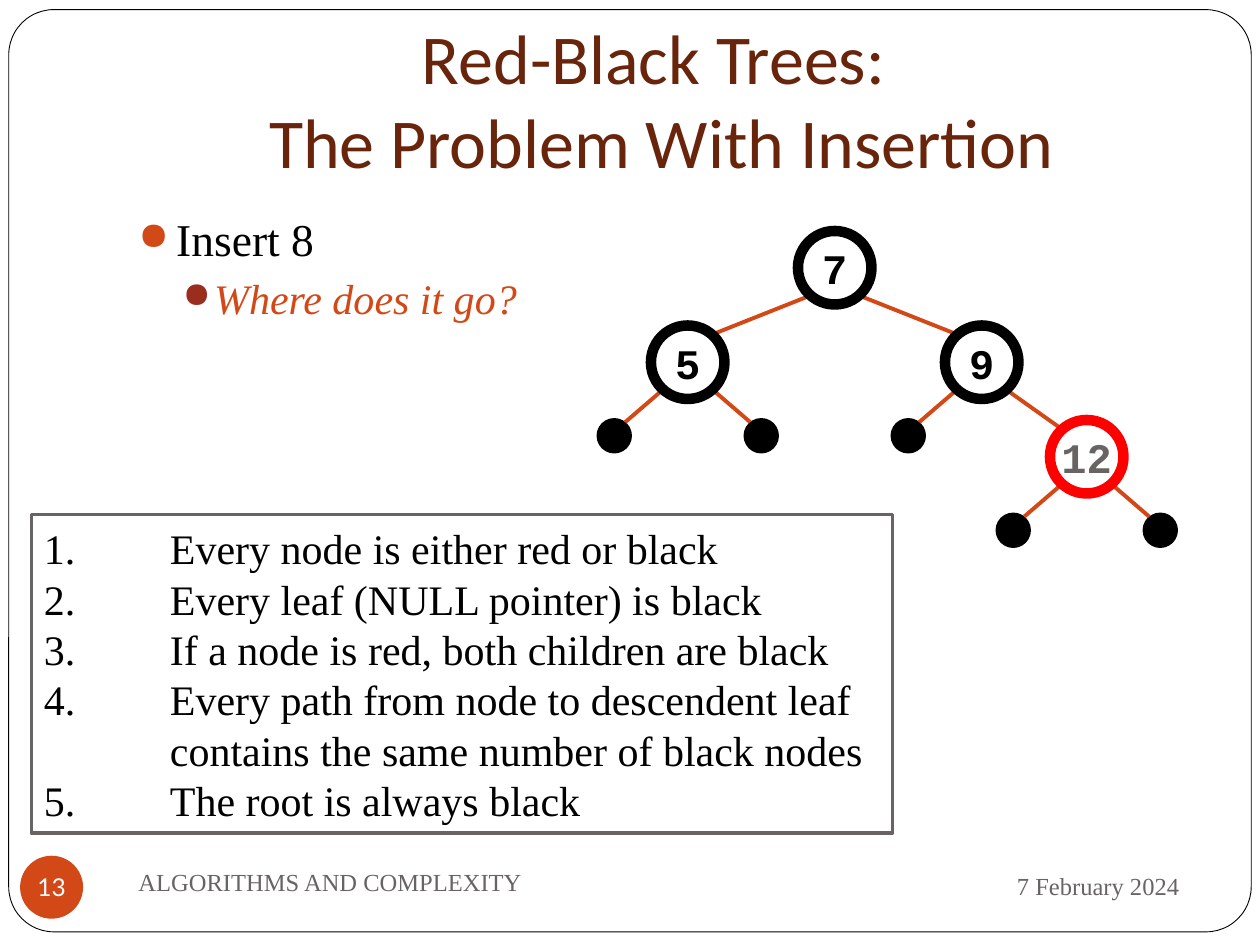
import dataclasses

import lxml.etree
import pptx
import pptx.dml.color
import pptx.enum.shapes
import pptx.enum.text
import pptx.oxml.ns
import pptx.util

Pt = pptx.util.Pt
RGB = pptx.dml.color.RGBColor.from_string
ALIGN = pptx.enum.text.PP_ALIGN
ANCHOR = pptx.enum.text.MSO_ANCHOR
SHAPE = pptx.enum.shapes.MSO_SHAPE
qn = pptx.oxml.ns.qn


@dataclasses.dataclass(frozen=True)
class Theme:
    black: str = "000000"
    white: str = "FFFFFF"
    red: str = "FF0000"
    gray: str = "696464"
    orange: str = "D34817"
    dark_red: str = "9B2D1F"
    brown: str = "69240C"
    serif: str = "Times New Roman"
    title_font: str = "Calibri"
    node_font: str = "Courier New"
    number_font: str = "Lato"
    title: int = 40
    body: int = 26
    detail: int = 24
    footer: int = 14


theme = Theme()


def add_text(tf, text, size, color, font=theme.serif, bold=False, italic=False,
             align=ALIGN.LEFT, anchor=ANCHOR.MIDDLE, wrap=True, indent=None,
             bullet=(), before=0, line_spacing=None):
    """Add a paragraph; indent is (left, first line), bullet is (tag, attributes) pairs."""
    tf.word_wrap = wrap
    tf.vertical_anchor = anchor
    p = tf.paragraphs[0] if not tf.paragraphs[0].runs else tf.add_paragraph()
    p.alignment = align
    p.space_before = Pt(before)
    if line_spacing:
        p.line_spacing = Pt(line_spacing)
    pPr = p._p.get_or_add_pPr()
    if indent:
        pPr.set("marL", str(Pt(indent[0])))
        pPr.set("indent", str(Pt(indent[1])))
    for tag, attributes in bullet:
        element = lxml.etree.SubElement(pPr, qn(tag), attributes)
        if tag == "a:buClr":
            element.attrib.clear()
            lxml.etree.SubElement(element, qn("a:srgbClr"), attributes)
    for i, line in enumerate(text.split("\n")):
        if i:
            p.add_line_break()
        r = p.add_run()
        r.text = line
        r.font.name, r.font.size = font, Pt(size)
        r.font.bold, r.font.italic = bold, italic
        r.font.color.rgb = RGB(color)


def add_shape(kind, x, y, w, h, fill=None, line=None, width=1):
    sp = s.shapes.add_shape(kind, Pt(x), Pt(y), Pt(w), Pt(h))
    sp.shadow.inherit = False
    if fill:
        sp.fill.solid()
        sp.fill.fore_color.rgb = RGB(fill)
    else:
        sp.fill.background()
    if line:
        sp.line.color.rgb = RGB(line)
        sp.line.width = Pt(width)
    else:
        sp.line.fill.background()
    return sp


prs = pptx.Presentation()
prs.slide_width, prs.slide_height = Pt(720), Pt(540)
s = prs.slides.add_slide(prs.slide_layouts[6])

frame = add_shape(SHAPE.ROUNDED_RECTANGLE, 5, 5.5, 710, 527, theme.white, theme.black, 0.5)
frame.adjustments[0] = 0.049

# Title
tf = s.shapes.add_textbox(Pt(72), Pt(21.6), Pt(612), Pt(90)).text_frame
tf.margin_bottom = Pt(7.2)
add_text(tf, "Red-Black Trees: \nThe Problem With Insertion", theme.title, theme.brown,
         font=theme.title_font, align=ALIGN.CENTER, anchor=ANCHOR.BOTTOM)

# Question
tf = s.shapes.add_textbox(Pt(72), Pt(117), Pt(250), Pt(75)).text_frame
for text, size, color, bullet_color, indent, before in [
    ("Insert 8", theme.body, theme.black, theme.orange, (21.6, -21.6), 0),
    ("Where does it go?", theme.detail, theme.orange, theme.dark_red, (43.2, -18), 3.8),
]:
    add_text(tf, text, size, color, italic=before > 0, anchor=ANCHOR.TOP,
             indent=indent, before=before,
             bullet=[("a:buClr", {"val": bullet_color}), ("a:buSzPct", {"val": "85000"}),
                     ("a:buChar", {"char": "●"})])

# Tree: centres of the nodes and leaves, edges as parent and child
nodes = {
    "7": (477, 153, theme.black, theme.black),
    "5": (393, 207, theme.black, theme.black),
    "9": (561, 207, theme.black, theme.black),
    "12": (621, 261, theme.red, theme.gray),
}
child_nodes = [("7", "5"), ("7", "9"), ("9", "12")]
leaf_sides = [("5", -1), ("5", 1), ("9", -1), ("12", -1), ("12", 1)]
node_size, leaf_size = 42, 18

leaves = [(parent, nodes[parent][0] + 42 * side, nodes[parent][1] + 42)
          for parent, side in leaf_sides]
for _, x, y in leaves:
    add_shape(SHAPE.OVAL, x - leaf_size / 2, y - leaf_size / 2, leaf_size, leaf_size,
              theme.black, theme.black, 2.25)

edges = [(parent, *nodes[child][:2], 14.8, 16.2) for parent, child in child_nodes]
edges += [(parent, x, y, 6.3, 7.8) for parent, x, y in leaves]
for parent, x, y, dx, dy in edges:
    px, py = nodes[parent][:2]
    side = 1 if x > px else -1
    edge = s.shapes.add_connector(
        pptx.enum.shapes.MSO_CONNECTOR.STRAIGHT,
        Pt(px + 14.8 * side), Pt(py + 16.2), Pt(x - dx * side), Pt(y - dy))
    edge.line.color.rgb = RGB(theme.orange)
    edge.line.width = Pt(2.25)
    lxml.etree.SubElement(edge._element.spPr, qn("a:effectLst"))

for key, (x, y, ring, color) in nodes.items():
    node = add_shape(SHAPE.OVAL, x - node_size / 2, y - node_size / 2,
                     node_size, node_size, theme.white, ring, 6)
    add_text(node.text_frame, key, theme.detail, color, font=theme.node_font,
             bold=True, align=ALIGN.CENTER, wrap=False)

# Red-black rules
rules = add_shape(SHAPE.RECTANGLE, 18, 294, 492, 182, line=theme.gray, width=2.25)
for text in [
    "Every node is either red or black",
    "Every leaf (NULL pointer) is black",
    "If a node is red, both children are black",
    "Every path from node to descendent leaf\ncontains the same number of black nodes",
    "The root is always black",
]:
    add_text(rules.text_frame, text, theme.detail, theme.black, indent=(72, -72),
             line_spacing=28.8, bullet=[("a:buFont", {"typeface": theme.serif}),
                                        ("a:buAutoNum", {"type": "arabicPeriod"})])

# Footer
for text, x, y, w, h, align in [
    ("7 February 2024", 486, 487.5, 195, 37.5, ALIGN.RIGHT),
    ("ALGORITHMS AND COMPLEXITY", 72, 486, 312, 36, ALIGN.LEFT),
]:
    tf = s.shapes.add_textbox(Pt(x), Pt(y), Pt(w), Pt(h)).text_frame
    add_text(tf, text, theme.footer, theme.gray, align=align)

badge = add_shape(SHAPE.OVAL, 11.5, 489, 36, 36, theme.orange)
tf = badge.text_frame
tf.margin_left = tf.margin_right = tf.margin_top = tf.margin_bottom = 0
add_text(tf, "13", theme.footer, theme.white, font=theme.number_font,
         align=ALIGN.CENTER, wrap=False)

prs.save("out.pptx")
